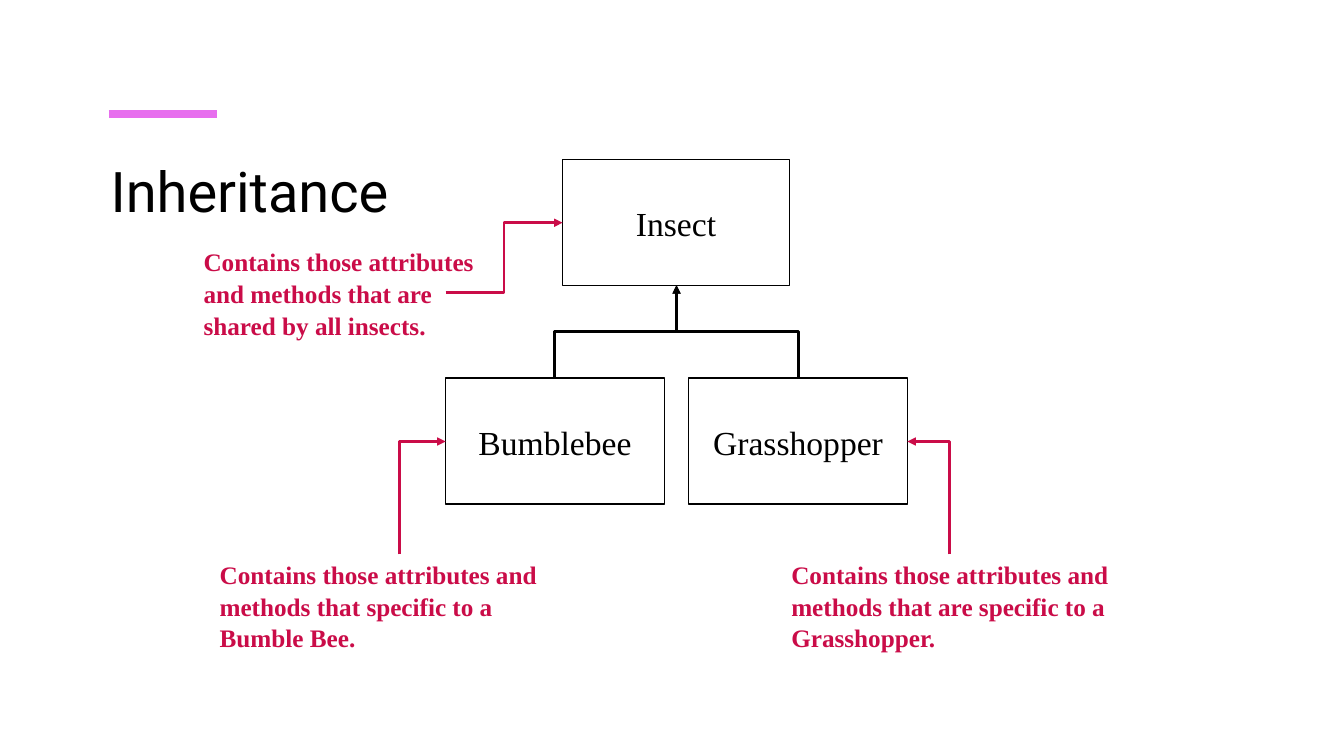
from pptx import Presentation
from pptx.dml.color import RGBColor
from pptx.enum.shapes import MSO_CONNECTOR as LineKind, MSO_SHAPE as ShapeKind
from pptx.enum.text import MSO_ANCHOR as Anchor, PP_ALIGN as Align
from pptx.oxml.ns import qn
from pptx.oxml.xmlchemy import OxmlElement
from pptx.util import Inches, Pt

COLORS = {"accent": "E76EEE", "black": "000000", "white": "FFFFFF", "note": "CA0C48"}
SERIF = "Times New Roman"


def color(name):
    return RGBColor.from_string(COLORS[name])


def write(shape, text, size, font_name, color_name, bold=False, spacing=None):
    para = shape.text_frame.paragraphs[0]
    para.text = text
    para.line_spacing = spacing
    font = para.font
    font.size, font.name, font.bold = Pt(size), font_name, bold
    font.color.rgb = color(color_name)
    return para


def add_text(page, area, text, size, font_name, color_name, anchor, **style):
    box = page.shapes.add_textbox(*map(Inches, area))
    box.text_frame.word_wrap = True
    box.text_frame.vertical_anchor = anchor
    write(box, text, size, font_name, color_name, **style)


def add_note(page, left, top, width, text):
    add_text(page, (left, top, width, 1.01), text, 18, SERIF, "note",
             Anchor.MIDDLE, bold=True, spacing=1.05)


def add_class_box(page, left, top, width, text):
    box = page.shapes.add_shape(
        ShapeKind.RECTANGLE, *map(Inches, (left, top, width, 1.25)))
    box.shadow.inherit = False
    box.fill.solid()
    box.fill.fore_color.rgb = color("white")
    box.line.color.rgb = color("black")
    box.line.width = Pt(1)
    box.text_frame.word_wrap = False
    box.text_frame.vertical_anchor = Anchor.MIDDLE
    write(box, text, 24, SERIF, "black", spacing=1.05).alignment = Align.CENTER


def add_line(page, kind, start, end, color_name, width):
    line = page.shapes.add_connector(kind, *map(Inches, start + end))
    line.line.color.rgb = color(color_name)
    line.line.width = Pt(width)
    line._element.spPr.append(OxmlElement("a:effectLst"))
    return line


def add_arrow(page, start, end, color_name):
    """Elbow arrow that leaves its start sideways."""
    arrow = add_line(page, LineKind.ELBOW, start, end, color_name, 2)
    head = OxmlElement("a:tailEnd")
    head.set("type", "triangle")
    arrow.line._get_or_add_ln().append(head)
    return arrow


def add_rising_arrow(page, start, end, color_name, single_bend=False):
    """Elbow arrow that leaves its start upwards: a sideways one, turned."""
    (x1, y1), (x2, y2) = start, end
    side = 1 if x2 > x1 else -1
    center_x, center_y = (x1 + x2) / 2, (y1 + y2) / 2
    half_width, half_height = side * (y1 - y2) / 2, abs(x2 - x1) / 2
    arrow = add_arrow(page, (center_x - half_width, center_y - half_height),
                      (center_x + half_width, center_y + half_height), color_name)
    properties = arrow._element.spPr
    degrees = 270 if side > 0 else 90
    properties.find(qn("a:xfrm")).set("rot", str(degrees * 60000))
    if single_bend:
        properties.find(qn("a:prstGeom")).set("prst", "bentConnector2")


def main():
    deck = Presentation()
    deck.slide_width, deck.slide_height = Inches(13.33), Inches(7.5)
    page = deck.slides.add_slide(deck.slide_layouts[6])

    # Heading
    add_line(page, LineKind.STRAIGHT, (1.08, 1.13), (2.15, 1.13), "accent", 6)
    add_text(page, (1, 1.5, 11.33, 1.3), "Inheritance", 40, "Roboto", "black", Anchor.TOP)

    # Class hierarchy
    add_class_box(page, 5.58, 1.58, 2.25, "Insect")
    for left, name in ((6.83, "Grasshopper"), (4.42, "Bumblebee")):
        add_class_box(page, left, 3.75, 2.17, name)
    for child_x in (5.5, 7.92):
        add_rising_arrow(page, (child_x, 3.75), (6.71, 2.83), "black")

    # Notes on each class
    add_note(page, 1.92, 2.4, 3.08,
             "Contains those attributes and methods that are shared by all insects.")
    add_arrow(page, (4.42, 2.9), (5.58, 2.21), "note")
    add_note(page, 2.08, 5.5, 3.75,
             "Contains those attributes and methods that specific to a Bumble Bee.")
    add_rising_arrow(page, (3.96, 5.5), (4.42, 4.38), "note", single_bend=True)
    add_note(page, 7.75, 5.5, 3.5,
             "Contains those attributes and methods that are specific to a Grasshopper.")
    add_rising_arrow(page, (9.42, 5.5), (9, 4.38), "note", single_bend=True)

    deck.save("out.pptx")


if __name__ == "__main__":
    main()
